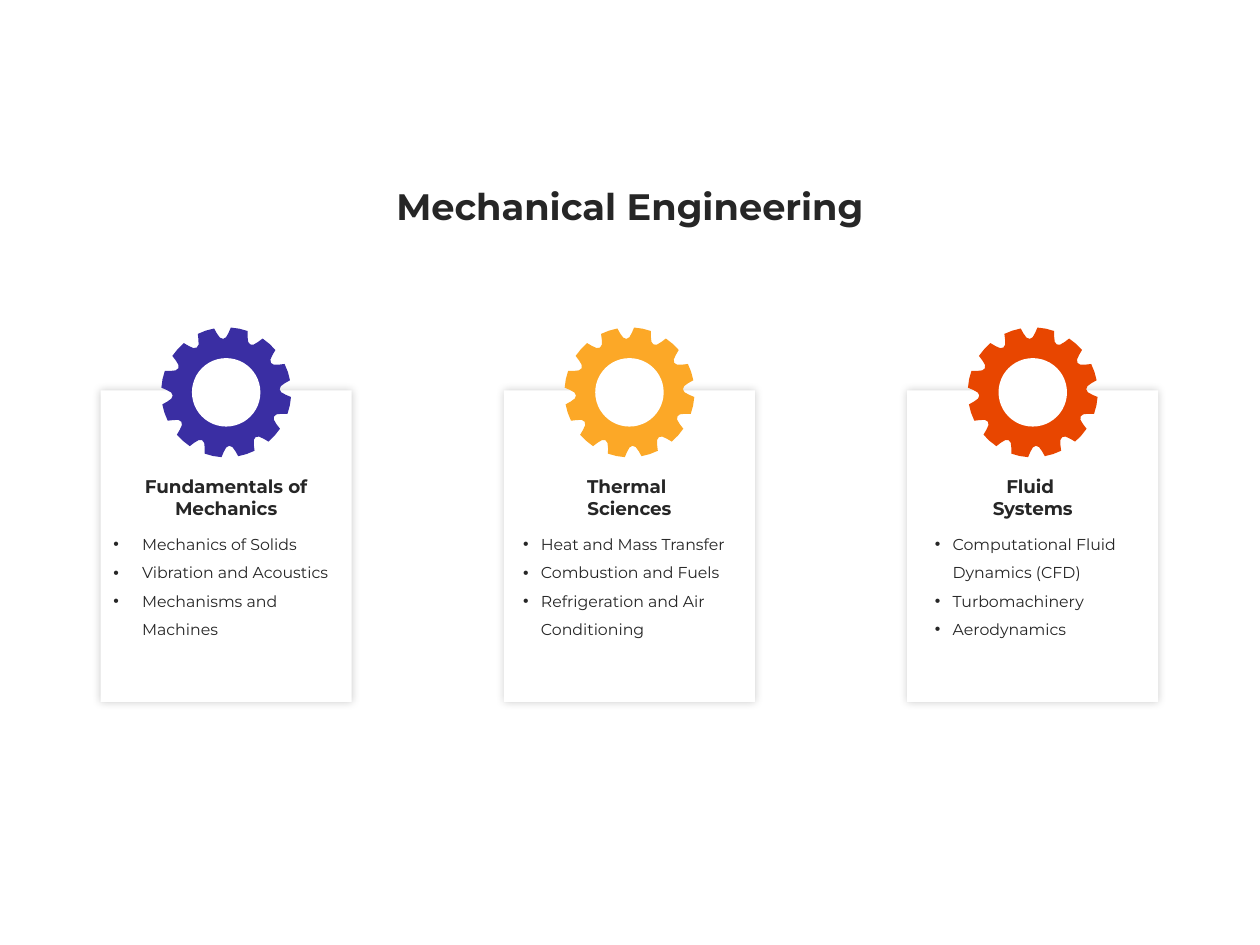
from math import cos, sin, radians

from lxml import etree
from pptx import Presentation
from pptx import util as u
from pptx.dml.color import RGBColor
from pptx.enum import shapes, text
from pptx.oxml import ns

# Content: heading lines, list, gear colour, list offset, list width, list indent (cm)
TITLE = "Mechanical Engineering"
TOPICS = [
    (["Fundamentals of Mechanics"],
     ["Mechanics of Solids", "Vibration and Acoustics", "Mechanisms and Machines"],
     "3A2EA3", 0, 5.06, 0.58),
    (["Thermal ", "Sciences"],
     ["Heat and Mass Transfer", "Combustion and Fuels", "Refrigeration and Air Conditioning"],
     "FCA827", 0.13, 4.75, 0.36),
    (["Fluid ", "Systems"],
     ["Computational Fluid Dynamics (CFD)", "Turbomachinery", "Aerodynamics"],
     "E84600", 0.3, 4.78, 0.36),
]
FONT, INK, WHITE = "Montserrat", "262626", "FFFFFF"

# Layout in cm
CARD_LEFT, CARD_TOP, CARD_WIDTH, CARD_HEIGHT, PITCH = 2.03, 7.87, 5.06, 6.28, 8.13
GEAR_Y, RIM, HUB = 7.91, 1.31, 0.69
TEETH, TURN = 12, -3.3
HEADING_TOP, HEADING_WIDTH, HEADING_HEIGHT = 9.45, 4.2, 1.14
LIST_TOP, LIST_HEIGHT = 10.46, 2.49

# One tooth in degrees and cm: a rounded notch, then the middle of the rim arc
NOTCH_SIDE = [(7.4, RIM), (5.6, 1.2), (3.2, 1.11)]
TOOTH = [(-a, r) for a, r in NOTCH_SIDE] + [(0, 1.08)] + NOTCH_SIDE[::-1] + [(15, RIM)]


def colour(value):
    return RGBColor.from_string(value)


def place(shape, left, top, width, height):
    shape.left, shape.top = u.Cm(left), u.Cm(top)
    shape.width, shape.height = u.Cm(width), u.Cm(height)


def paint(shape, value):
    shape.shadow.inherit = False
    shape.fill.solid()
    shape.fill.fore_color.rgb = colour(value)
    shape.line.fill.background()


def add_bullet(para, indent):
    props = para._p.get_or_add_pPr()
    props.set("marL", str(u.Cm(indent)))
    props.set("indent", str(-u.Cm(indent)))
    etree.SubElement(props, ns.qn("a:buFont")).set("typeface", "Arial")
    etree.SubElement(props, ns.qn("a:buChar")).set("char", "•")


def write(box, lines, size, bold=False, align=text.PP_ALIGN.LEFT, spacing=1.0, indent=None):
    frame = box.text_frame
    frame.word_wrap = True
    frame.auto_size = text.MSO_AUTO_SIZE.NONE
    frame.vertical_anchor = text.MSO_ANCHOR.TOP
    frame.text = "\n".join(lines)
    for para in frame.paragraphs:
        para.alignment, para.line_spacing = align, spacing
        para.space_before = para.space_after = u.Pt(0)
        if indent:
            add_bullet(para, indent)
        for span in para.runs:
            span.font.name, span.font.size, span.font.bold = FONT, u.Pt(size), bold
            span.font.color.rgb = colour(INK)


def add_plain(page, kind, left, top, width, height):
    shape = page.shapes.add_shape(kind, 0, 0, 0, 0)
    place(shape, left, top, width, height)
    paint(shape, WHITE)
    return shape


def add_soft_shadow(shape):
    effects = shape._element.spPr.find(ns.qn("a:effectLst"))
    shadow = etree.SubElement(effects, ns.qn("a:outerShdw"), blurRad=str(u.Pt(5)),
                              dist="0", dir="0", algn="ctr", rotWithShape="0")
    tint = etree.SubElement(shadow, ns.qn("a:srgbClr"), val="000000")
    etree.SubElement(tint, ns.qn("a:alpha"), val="20000")


def add_gear(page, centre, value):
    outline = []
    for tooth in range(TEETH):
        for angle, radius in TOOTH:
            turn = radians(TURN + tooth * 360 / TEETH + angle)
            outline.append((u.Cm(centre + radius * cos(turn)),
                            u.Cm(GEAR_Y + radius * sin(turn))))
    builder = page.shapes.build_freeform(*outline[0], scale=1.0)
    builder.add_line_segments(outline[1:], close=True)
    paint(builder.convert_to_shape(), value)
    add_plain(page, shapes.MSO_SHAPE.OVAL, centre - HUB, GEAR_Y - HUB, 2 * HUB, 2 * HUB)


def add_topic(page, body, left, heading, items, value, offset, width, indent):
    centre = left + CARD_WIDTH / 2
    # Card and gear
    card = add_plain(page, shapes.MSO_SHAPE.RECTANGLE, left, CARD_TOP, CARD_WIDTH, CARD_HEIGHT)
    add_soft_shadow(card)
    add_gear(page, centre, value)
    # Heading and list
    box = page.shapes.add_textbox(0, 0, 0, 0)
    place(box, centre - HEADING_WIDTH / 2, HEADING_TOP, HEADING_WIDTH, HEADING_HEIGHT)
    write(box, heading, 10.5, bold=True, align=text.PP_ALIGN.CENTER)
    place(body, left + offset, LIST_TOP, width, LIST_HEIGHT)
    write(body, items, 9, spacing=1.5, indent=indent)
    page.shapes.element.append(body.element)  # bring the list in front of its card


def main():
    deck = Presentation()
    deck.slide_width, deck.slide_height = u.Cm(25.4), u.Cm(19.05)
    page = deck.slides.add_slide(deck.slide_layouts.get_by_name("Comparison"))

    # Title
    title, *bodies = page.placeholders
    place(title, 0.1, 3.58, 25.2, 1.14)
    write(title, [TITLE], 21, bold=True, align=text.PP_ALIGN.CENTER)

    # Topics
    for index, (body, topic) in enumerate(zip(bodies, TOPICS)):
        add_topic(page, body, CARD_LEFT + PITCH * index, *topic)
    for spare in bodies[len(TOPICS):]:
        page.shapes.element.remove(spare.element)

    deck.save("out.pptx")


if __name__ == "__main__":
    main()
